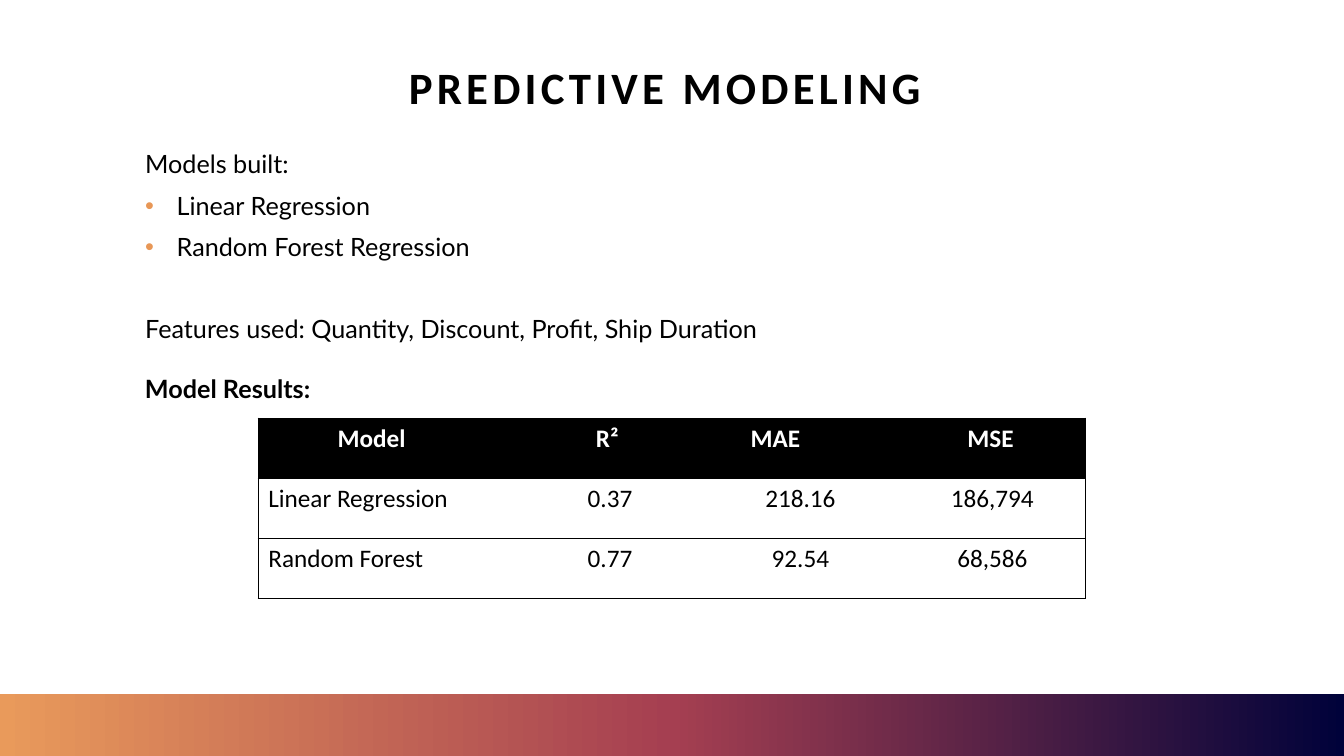
from copy import deepcopy
from dataclasses import dataclass

from lxml.etree import SubElement
from pptx import Presentation
from pptx.dml.color import RGBColor
from pptx.enum.shapes import MSO_SHAPE
from pptx.enum.text import MSO_ANCHOR, MSO_AUTO_SIZE, PP_ALIGN
from pptx.oxml.ns import qn
from pptx.util import Pt


@dataclass(frozen=True)
class Theme:
    black: str = "000000"
    white: str = "FFFFFF"
    bullet: str = "E89756"
    band: tuple = ("E99A5B", "A53F51", "00023A")
    heading_font: str = "Calibri"
    body_font: str = "Lato"
    title_size: int = 32
    text_size: int = 18


THEME = Theme()
NO_TABLE_STYLE = "{2D5ABB26-0587-4C30-8999-92F81FD0307C}"
BODY_LINES = [  # text, bulleted, space before
    ("Models built:", False, 0),
    ("Linear Regression", True, 10),
    ("Random Forest Regression", True, 10),
    ("Features used: Quantity, Discount, Profit, Ship Duration", False, 39.5),
]
RESULTS = [
    ("Model", "R²", "MAE", "MSE"),
    ("Linear Regression", "0.37", "218.16", "186,794"),
    ("Random Forest", "0.77", "92.54", "68,586"),
]
COLUMN_SHARES = (2.58, 1.82, 1.96, 1.85)
HEADER_RIGHT_INSETS = (31, 11, 43, 10)


def place(shape, box):
    shape.left, shape.top, shape.width, shape.height = (Pt(length) for length in box)


def add_run(paragraph, text, font_name, size, color=THEME.black, bold=False):
    run = paragraph.add_run()
    run.text = text
    run.font.name = font_name
    run.font.size = Pt(size)
    run.font.bold = bold
    run.font.color.rgb = RGBColor.from_string(color)
    return run


def set_bullet(paragraph, bulleted):
    properties = paragraph._p.get_or_add_pPr()
    indent = Pt(22.5) if bulleted else 0
    properties.set("marL", str(indent))
    properties.set("indent", str(-indent))
    if bulleted:
        color = SubElement(properties, qn("a:buClr"))
        SubElement(color, qn("a:srgbClr"), val=THEME.bullet)
        SubElement(properties, qn("a:buFont"), typeface="Arial")
        SubElement(properties, qn("a:buChar"), char="•")
    else:
        SubElement(properties, qn("a:buNone"))


def add_title(slide, box):
    title = slide.shapes.title
    place(title, box)
    frame = title.text_frame
    frame.auto_size = MSO_AUTO_SIZE.NONE
    frame.vertical_anchor = MSO_ANCHOR.MIDDLE
    paragraph = frame.paragraphs[0]
    paragraph.alignment = PP_ALIGN.CENTER
    paragraph.line_spacing = 0.9
    run = add_run(paragraph, "PREDICTIVE MODELING", THEME.heading_font, THEME.title_size, bold=True)
    run.font._element.set("spc", "300")


def add_body(slide, box):
    body = slide.placeholders[1]
    place(body, box)
    frame = body.text_frame
    frame.auto_size = MSO_AUTO_SIZE.NONE
    frame.vertical_anchor = MSO_ANCHOR.TOP
    for index, (text, bulleted, space_before) in enumerate(BODY_LINES):
        paragraph = frame.add_paragraph() if index else frame.paragraphs[0]
        set_bullet(paragraph, bulleted)
        paragraph.line_spacing = 0.9
        paragraph.space_before = Pt(space_before)
        add_run(paragraph, text, THEME.body_font, THEME.text_size)


def add_gradient_band(slide, box):
    band = slide.shapes.add_shape(MSO_SHAPE.RECTANGLE, *(Pt(length) for length in box))
    band.shadow.inherit = False
    band.line.fill.background()
    band.fill.gradient()
    band.fill.gradient_angle = 0
    stop_list = next(band._element.iter(qn("a:gsLst")))
    stop_list.append(deepcopy(stop_list[-1]))
    for index, (stop, color) in enumerate(zip(band.fill.gradient_stops, THEME.band)):
        stop.position = index / 2
        stop.color.rgb = RGBColor.from_string(color)


def add_results_label(slide, box):
    label = slide.shapes.add_textbox(*(Pt(length) for length in box))
    label.text_frame.word_wrap = True
    add_run(label.text_frame.paragraphs[0], "Model Results:", THEME.body_font,
            THEME.text_size, bold=True)


def add_borders(cell, sides):
    properties = cell._tc.get_or_add_tcPr()
    for side in sides:
        line = SubElement(properties, qn(f"a:ln{side}"), w=str(Pt(1)))
        fill = SubElement(line, qn("a:solidFill"))
        SubElement(fill, qn("a:srgbClr"), val=THEME.black)


def fill_cell(cell, text, row, column):
    header = row == 0
    left = "L" if column == 0 else ""
    right = "R" if column == len(COLUMN_SHARES) - 1 else ""
    add_borders(cell, left + right + "TB")
    cell.fill.solid()
    cell.fill.fore_color.rgb = RGBColor.from_string(THEME.black if header else THEME.white)
    if header:
        cell.margin_right = Pt(HEADER_RIGHT_INSETS[column])
    paragraph = cell.text_frame.paragraphs[0]
    paragraph.alignment = PP_ALIGN.CENTER if header or column else PP_ALIGN.LEFT
    add_run(paragraph, text, THEME.heading_font, THEME.text_size,
            THEME.white if header else THEME.black, header)


def add_results_table(slide, box):
    frame = slide.shapes.add_table(len(RESULTS), len(COLUMN_SHARES),
                                   *(Pt(length) for length in box))
    table = frame.table
    table.first_row = table.horz_banding = False
    next(table._tbl.iter(qn("a:tableStyleId"))).text = NO_TABLE_STYLE
    for column, share in zip(table.columns, COLUMN_SHARES):
        column.width = Pt(box[2] * share / sum(COLUMN_SHARES))
    for row, values in enumerate(RESULTS):
        table.rows[row].height = Pt(box[3] / len(RESULTS))
        for column, text in enumerate(values):
            fill_cell(table.cell(row, column), text, row, column)


def build_modeling_slide(presentation):
    slide = presentation.slides.add_slide(presentation.slide_layouts[1])
    add_title(slide, (61, 12, 828, 104.5))
    add_body(slide, (96.5, 105, 490, 150.5))
    add_gradient_band(slide, (0, 496, 960, 44))
    add_results_label(slide, (96.5, 263, 479.5, 29))
    add_results_table(slide, (184.5, 298.8, 591, 129))


def main():
    presentation = Presentation()
    presentation.slide_width = Pt(960)
    presentation.slide_height = Pt(540)
    build_modeling_slide(presentation)
    presentation.save("out.pptx")


if __name__ == "__main__":
    main()
